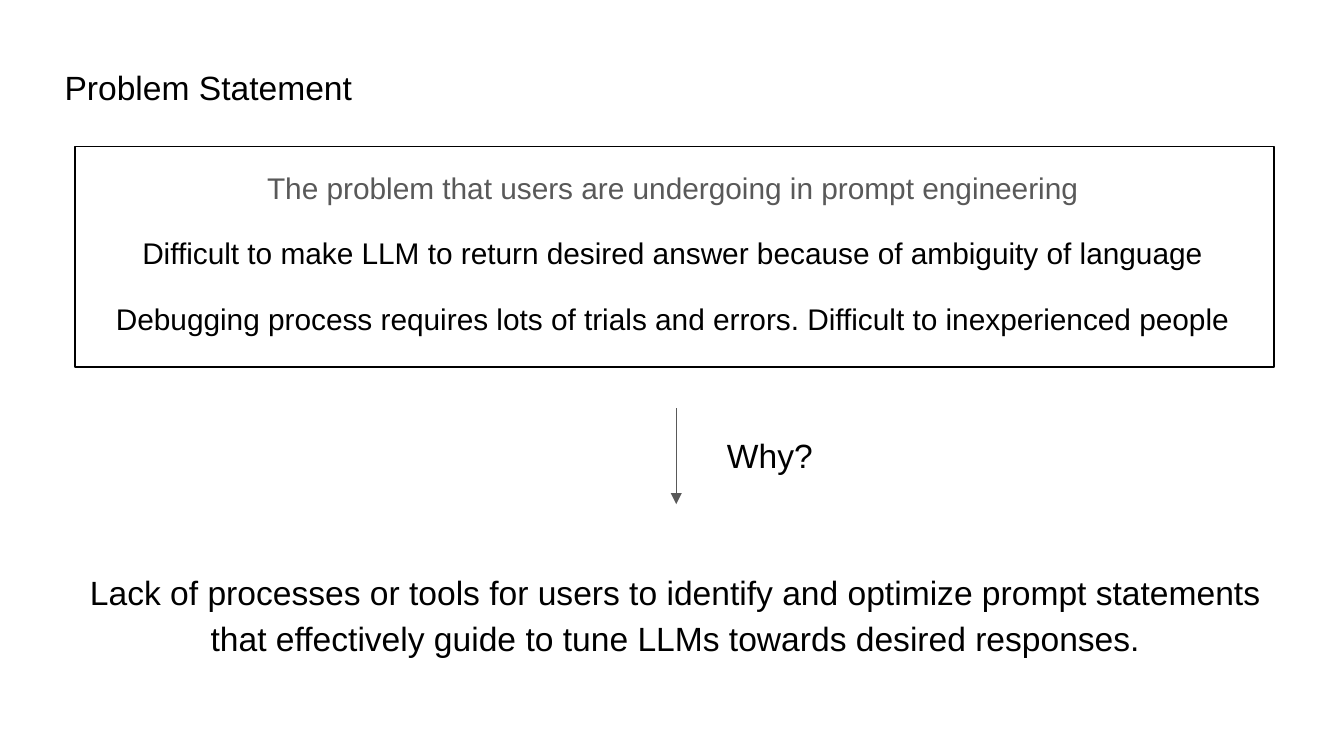
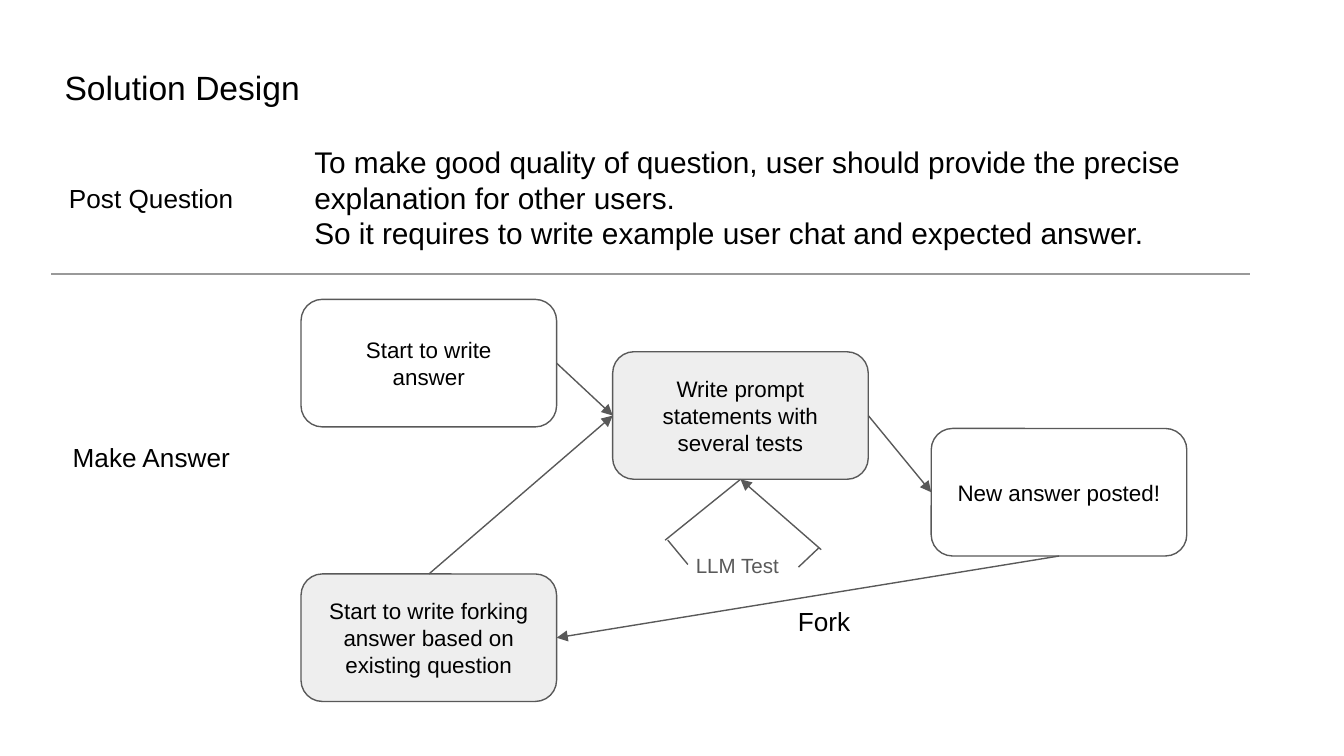
import pptx
import pptx.dml.color
import pptx.enum.shapes
import pptx.enum.text
import pptx.oxml.ns
import pptx.util
from lxml import etree

Cm = pptx.util.Cm
Pt = pptx.util.Pt
ALIGN = pptx.enum.text.PP_ALIGN
ANCHOR = pptx.enum.text.MSO_ANCHOR
SHAPE = pptx.enum.shapes.MSO_SHAPE
STRAIGHT = pptx.enum.shapes.MSO_CONNECTOR.STRAIGHT

# Shared look
FONT = "Arial"
BLACK, WHITE = "000000", "FFFFFF"
DARK_GRAY, MID_GRAY, LIGHT_GRAY = "595959", "999999", "EEEEEE"
LINE_WIDTH = Pt(0.75)
TITLE_AREA = (0.97, 1.02, 13.87, 1.27)
FRAME_FORMAT = {
    "word_wrap": True,
    "auto_size": pptx.enum.text.MSO_AUTO_SIZE.NONE,
    "margin_left": Cm(0.25),
    "margin_right": Cm(0.25),
    "margin_top": Cm(0.25),
    "margin_bottom": Cm(0.25),
}
TOP, LEFT, BOTTOM, RIGHT = range(4)
STEP_SIZE = (4.83, 2.41)


def rgb(color):
    return pptx.dml.color.RGBColor.from_string(color)


def set_values(target, values):
    for name, value in values.items():
        setattr(target, name, value)


def place(shape, area):
    names = ("left", "top", "width", "height")
    set_values(shape, dict(zip(names, map(Cm, area))))


def write(shape, lines, size, color=BLACK, align=ALIGN.LEFT, anchor=ANCHOR.TOP,
          spacing=1.0, gap=0):
    """Fill a shape with paragraphs; gap is the space between them in points."""
    frame = shape.text_frame
    set_values(frame, FRAME_FORMAT)
    frame.vertical_anchor = anchor
    frame.text = "\n".join(lines)
    for index, paragraph in enumerate(frame.paragraphs):
        set_values(paragraph, {
            "alignment": align,
            "line_spacing": spacing,
            "space_before": Pt(gap if index else 0),
            "space_after": Pt(0),
        })
        for run in paragraph.runs:
            set_values(run.font, {"name": FONT, "size": Pt(size)})
            run.font.color.rgb = rgb(color)


def add_titled_slide(presentation, title):
    slide = presentation.slides.add_slide(presentation.slide_layouts[1])
    place(slide.shapes.title, TITLE_AREA)
    write(slide.shapes.title, [title], 18)
    return slide


def fill_body(slide, area, lines, **text_format):
    body = slide.placeholders[1]
    place(body, area)
    write(body, lines, 16, **text_format)
    for paragraph in body.text_frame.paragraphs:
        properties = paragraph._p.get_or_add_pPr()
        properties.set("marL", "0")
        properties.set("indent", "0")
        etree.SubElement(properties, pptx.oxml.ns.qn("a:buNone"))
    return body


def add_text(slide, area, text, size, **text_format):
    box = slide.shapes.add_textbox(*map(Cm, area))
    write(box, [text], size, **text_format)


def add_box(slide, kind, area, fill, line):
    shape = slide.shapes.add_shape(kind, *map(Cm, area))
    shape.shadow.inherit = False
    if fill:
        shape.fill.solid()
        shape.fill.fore_color.rgb = rgb(fill)
    else:
        shape.fill.background()
    shape.line.color.rgb = rgb(line)
    shape.line.width = LINE_WIDTH
    return shape


def add_step(slide, left, top, lines, fill):
    step = add_box(slide, SHAPE.ROUNDED_RECTANGLE, (left, top, *STEP_SIZE), fill, DARK_GRAY)
    write(step, lines, 12, align=ALIGN.CENTER, anchor=ANCHOR.MIDDLE)
    return step


def add_line(slide, start, end, color=DARK_GRAY, arrow=False):
    """Each end is either an (x, y) point in cm or a (shape, side) pair."""
    joined = [not isinstance(point[0], (int, float)) for point in (start, end)]
    points = [(0, 0) if is_joined else point
              for is_joined, point in zip(joined, (start, end))]
    connector = slide.shapes.add_connector(STRAIGHT, *(Cm(v) for point in points for v in point))
    if joined[0]:
        connector.begin_connect(*start)
    if joined[1]:
        connector.end_connect(*end)
    connector.line.color.rgb = rgb(color)
    connector.line.width = LINE_WIDTH
    if arrow:
        line = connector.line._get_or_add_ln()
        etree.SubElement(line, pptx.oxml.ns.qn("a:tailEnd"), type="triangle")
    etree.SubElement(connector._element.spPr, pptx.oxml.ns.qn("a:effectLst"))


def build_problem(presentation):
    slide = add_titled_slide(presentation, "Problem Statement")

    # Framed list of problems
    body = fill_body(slide, (1.12, 2.95, 23.19, 3.63), [
        "The problem that users are undergoing in prompt engineering",
        "Difficult to make LLM to return desired answer because of ambiguity of language",
        "Debugging process requires lots of trials and errors. Difficult to inexperienced people",
    ], align=ALIGN.CENTER, gap=16)
    body.text_frame.paragraphs[0].runs[0].font.color.rgb = rgb(DARK_GRAY)
    frame = add_box(slide, SHAPE.RECTANGLE, (1.42, 2.77, 22.66, 4.17), WHITE, BLACK)
    body._element.addprevious(frame._element)

    # Cause
    add_line(slide, (12.78, 7.72), (12.78, 9.53), arrow=True)
    add_text(slide, (13.49, 7.98, 2.9, 1.27), "Why?", 18)
    add_text(slide, (1.17, 10.44, 23.19, 2.16),
             "Lack of processes or tools for users to identify and optimize prompt statements "
             "that effectively guide to tune LLMs towards desired responses.",
             18, align=ALIGN.CENTER, spacing=1.15)


def build_solution(presentation):
    slide = add_titled_slide(presentation, "Solution Design")

    # Row labels and explanation
    for top, label in ((3.2, "Post Question"), (8.1, "Make Answer")):
        add_text(slide, (0.97, top, 3.78, 1.12), label, 14, align=ALIGN.CENTER)
    fill_body(slide, (5.69, 2.46, 18.06, 2.57), [
        "To make good quality of question, user should provide the precise "
        "explanation for other users.",
        "So it requires to write example user chat and expected answer.",
    ])
    add_line(slide, (0.97, 5.18), (23.62, 5.18), MID_GRAY)

    # Steps
    start = add_step(slide, 5.69, 5.66, ["Start to write", "answer"], None)
    prompt = add_step(slide, 11.58, 6.65, ["Write prompt statements with several tests"], LIGHT_GRAY)
    posted = add_step(slide, 17.6, 8.1, ["New answer posted!"], WHITE)
    fork = add_step(slide, 5.69, 10.85,
                    ["Start to write forking answer based on existing question"], LIGHT_GRAY)

    # Flow between steps
    for begin, end in (
        ((start, RIGHT), (prompt, LEFT)),
        ((prompt, RIGHT), (posted, LEFT)),
        ((posted, BOTTOM), (fork, RIGHT)),
        ((fork, TOP), (prompt, LEFT)),
    ):
        add_line(slide, begin, end, arrow=True)
    add_text(slide, (14.83, 11.2, 2.72, 1.12), "Fork", 14)

    # Test loop under the prompt step
    add_line(slide, (prompt, BOTTOM), (12.57, 10.21))
    add_line(slide, (12.62, 10.21), (13, 10.67))
    add_line(slide, (15.09, 10.72), (15.47, 10.36))
    add_line(slide, (15.52, 10.39), (prompt, BOTTOM), arrow=True)
    add_text(slide, (12.9, 10.21, 2.18, 0.99), "LLM Test", 11, color=DARK_GRAY)


def main():
    presentation = pptx.Presentation()
    presentation.slide_width = Cm(25.4)
    presentation.slide_height = Cm(14.29)
    build_problem(presentation)
    build_solution(presentation)
    presentation.save("out.pptx")


if __name__ == "__main__":
    main()
